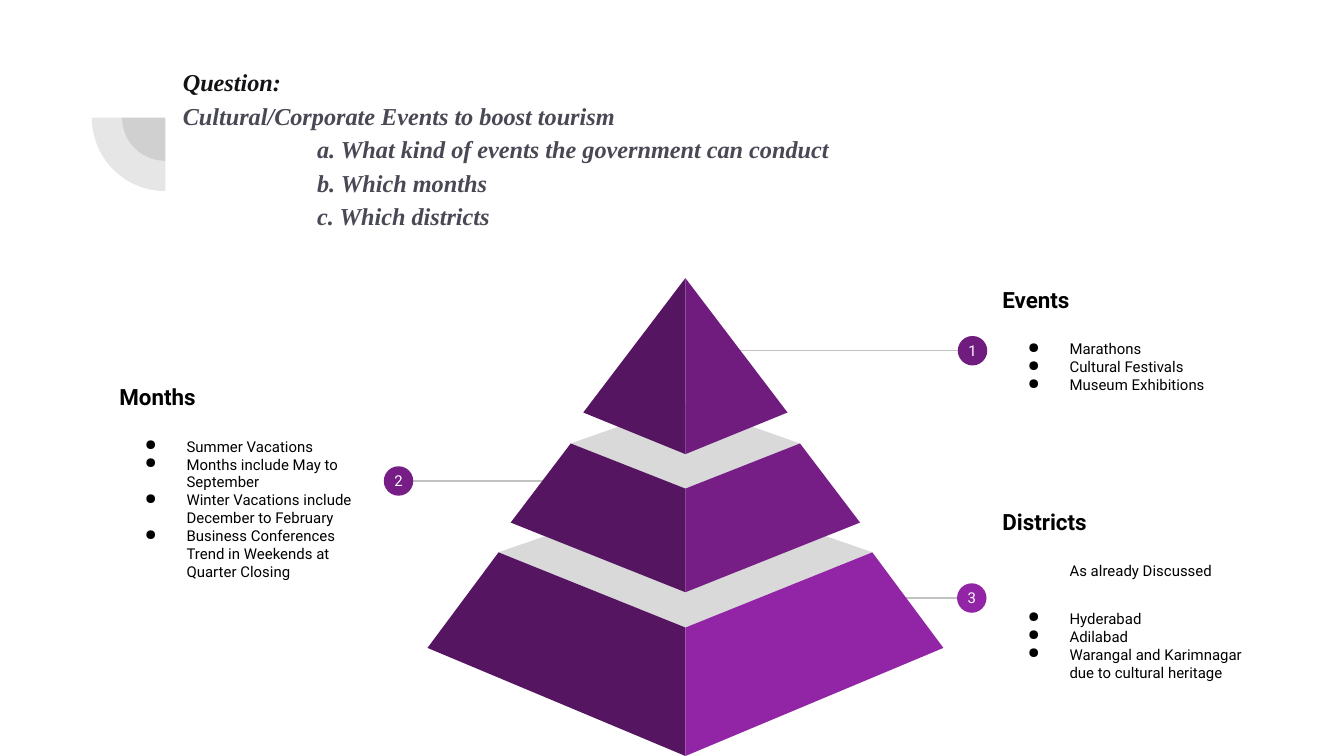
from dataclasses import dataclass
from lxml import etree
from pptx import Presentation
from pptx.dml.color import RGBColor
from pptx.enum.shapes import MSO_CONNECTOR, MSO_SHAPE
from pptx.enum.text import MSO_ANCHOR, MSO_AUTO_SIZE, PP_ALIGN
from pptx.oxml.ns import qn
from pptx.util import Pt

LINE = MSO_CONNECTOR.STRAIGHT
OVAL, PIE = MSO_SHAPE.OVAL, MSO_SHAPE.PIE
TOP, MIDDLE = MSO_ANCHOR.TOP, MSO_ANCHOR.MIDDLE
LEFT, CENTER = PP_ALIGN.LEFT, PP_ALIGN.CENTER


@dataclass(frozen=True)
class Theme:
    serif: str = "Times New Roman"
    sans: str = "Roboto"
    title: float = 13
    head: float = 12
    body: float = 8
    ink: str = "000000"
    dark: str = "131316"
    slate: str = "494955"
    white: str = "FFFFFF"
    rule: str = "C2C2C2"
    arc: str = "424242"
    lid: str = "D9D9D9"
    shade: str = "551561"
    tiers: tuple = ("701C7F", "761E86", "9225A5")


THEME = Theme()


def rgb(code):
    return RGBColor.from_string(code)


def paint(shape, code):
    shape.shadow.inherit = False
    shape.fill.solid()
    shape.fill.fore_color.rgb = rgb(code)
    shape.line.fill.background()


def style(para, name, size, code, bold=False, italic=False):
    font = para.font
    font.name, font.size = name, Pt(size)
    font.bold, font.italic = bold, italic
    font.color.rgb = rgb(code)


def indent(para, left, first=0, mark=None):
    props = para._p.get_or_add_pPr()
    props.set("marL", str(Pt(left)))
    props.set("indent", str(Pt(first)))
    if mark:
        etree.SubElement(props, qn("a:buChar")).set("char", mark)


def add_arcs(slide, box):
    """Two translucent quarter discs that share a centre."""
    left, top, size = box
    for gap in (16.2, 0):
        side = Pt(size - 2 * gap)
        disc = slide.shapes.add_shape(PIE, Pt(left + gap), Pt(top + gap), side, side)
        disc.adjustments[0], disc.adjustments[1] = 108, 162
        disc.rotation = 270
        paint(disc, THEME.arc)
        tint = disc.fill._xPr.find(qn("a:solidFill"))[0]
        etree.SubElement(tint, qn("a:alpha")).set("val", "13000")


def add_title(slide, box):
    title = slide.shapes.title
    title.left, title.top, title.width, title.height = map(Pt, box)
    frame = title.text_frame
    frame.word_wrap, frame.auto_size = True, MSO_AUTO_SIZE.NONE
    frame.vertical_anchor = TOP
    frame.margin_left = frame.margin_right = Pt(7.2)
    frame.margin_top = frame.margin_bottom = Pt(7.2)
    rows = (
        ("Question:", THEME.dark, 0),
        ("Cultural/Corporate Events to boost tourism", THEME.slate, 0),
        ("a. What kind of events the government can conduct", THEME.slate, 72),
        ("b. Which months", THEME.slate, 72),
        ("c. Which districts", THEME.slate, 72),
    )
    frame.text = "\n".join(row[0] for row in rows)
    for para, (_, code, left) in zip(frame.paragraphs, rows):
        para.alignment, para.line_spacing = LEFT, 1.15
        indent(para, left)
        style(para, THEME.serif, THEME.title, code, True, True)


def add_notes(slide, box, head, items, lead=None, foot=7.2):
    """Heading, optional lead-in and bullets, centred in the box's height."""
    frame = slide.shapes.add_textbox(*map(Pt, box)).text_frame
    frame.word_wrap, frame.vertical_anchor = True, MIDDLE
    frame.margin_left = frame.margin_right = frame.margin_top = Pt(7.2)
    frame.margin_bottom = Pt(foot)
    para = frame.paragraphs[0]
    para.text = head
    style(para, THEME.sans, THEME.head, THEME.ink, True)
    gap = 14.4
    if lead:
        para = frame.add_paragraph()
        para.text, para.space_before = lead, Pt(gap)
        indent(para, 36)
        style(para, THEME.sans, THEME.body, THEME.ink)
        gap = 16
    for item in items:
        para = frame.add_paragraph()
        para.text, para.space_before = item, Pt(gap)
        indent(para, 36, -22.3, "●")
        style(para, THEME.sans, THEME.body, THEME.ink)
        gap = 0


def add_marker(slide, spot, tip, label, code):
    """Numbered dot with a thin rule towards the pyramid."""
    x, y = spot
    size = 15.8
    rule = slide.shapes.add_connector(LINE, Pt(tip), Pt(y), Pt(x), Pt(y))
    rule.line.color.rgb, rule.line.width = rgb(THEME.rule), Pt(0.75)
    etree.SubElement(rule._element.spPr, qn("a:effectLst"))
    dot = slide.shapes.add_shape(
        OVAL, Pt(x - size / 2), Pt(y - size / 2), Pt(size), Pt(size))
    paint(dot, code)
    frame = dot.text_frame
    frame.margin_left = frame.margin_right = 0
    frame.margin_top = frame.margin_bottom = 0
    frame.word_wrap, frame.vertical_anchor = False, MIDDLE
    para = frame.paragraphs[0]
    para.text, para.alignment = label, CENTER
    style(para, THEME.sans, THEME.body, THEME.white)


def add_face(slide, points, code):
    first, *rest = [(Pt(x), Pt(y)) for x, y in dict.fromkeys(points)]
    pen = slide.shapes.build_freeform(*first)
    pen.add_line_segments(rest, close=True)
    paint(pen.convert_to_shape(), code)


def add_pyramid(slide, box):
    left, top, width = box
    mid = left + width / 2
    # Half widths above and below, then heights: back, side, front, low, base
    tiers = (
        (0, 54.7, 0, 0, 0, 72, 94.3),
        (61.4, 93.6, 67, 88.6, 112.8, 131, 168.3),
        (100.1, 138.2, 112.3, 146.9, 187.2, 198.1, 256),
    )
    for tier, code in reversed(list(zip(tiers, THEME.tiers))):
        near, far = tier[:2]
        back, side, front, low, base = (top + y for y in tier[2:])
        if near:
            add_face(slide, ((mid - near, side), (mid, front),
                             (mid + near, side), (mid, back)), THEME.lid)
        for sign, tone in ((-1, THEME.shade), (1, code)):
            add_face(slide, ((mid + sign * near, side), (mid + sign * far, low),
                             (mid, base), (mid, front)), tone)


def main():
    deck = Presentation()
    deck.slide_width, deck.slide_height = Pt(720), Pt(405)
    slide = deck.slides.add_slide(deck.slide_layouts[5])
    wide, high = 146.9, 108.7

    # Header
    add_arcs(slide, (49.2, 23.6, 78.8))
    add_title(slide, (90.7, 26.6, 563.8, 98.6))

    # Callouts
    add_notes(slide, (529.9, 264.2, wide, high), "Districts",
              ("Hyderabad", "Adilabad",
               "Warangal and Karimnagar due to cultural heritage"),
              lead="As already Discussed")
    add_notes(slide, (56.9, 203.8, wide, high), "Months",
              ("Summer Vacations", "Months include May to September",
               "Winter Vacations include December to February",
               "Business Conferences Trend in Weekends at Quarter Closing"))
    add_notes(slide, (529.9, 132.5, wide, high), "Events",
              ("Marathons", "Cultural Festivals", "Museum Exhibitions"),
              foot=16.8)
    marks = (((521, 187.9), 393.8), ((213.5, 257.7), 293), ((520.6, 320.4), 482.4))
    for num, ((spot, tip), code) in enumerate(zip(marks, THEME.tiers), 1):
        add_marker(slide, spot, tip, str(num), code)

    # Pyramid
    add_pyramid(slide, (229, 149, 276.4))
    deck.save("out.pptx")


if __name__ == "__main__":
    main()
